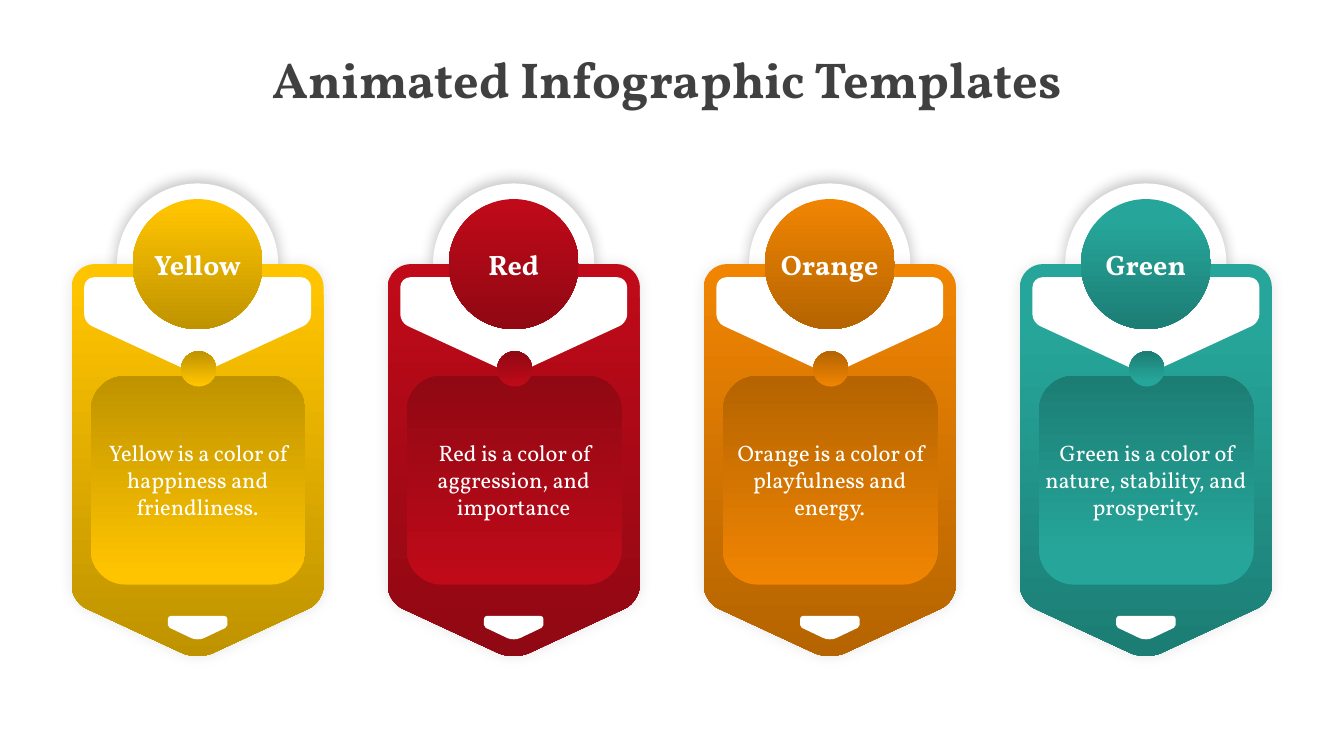
"""Build a slide with four hanging colour tags."""
import math
from dataclasses import dataclass

import pptx
import pptx.dml.color
import pptx.enum.shapes
import pptx.enum.text
import pptx.oxml
import pptx.oxml.ns
import pptx.util
from pptx.util import Inches


@dataclass(frozen=True)
class Theme:
    """Hold the colours, font and type sizes."""
    font: str = "Vollkorn"
    title_size: int = 36
    label_size: int = 20
    body_size: int = 16
    title: str = "404040"
    white: str = "FFFFFF"
    shadow: str = "000000"


@dataclass(frozen=True)
class Tag:
    """Hold the wording and gradient of one tag."""
    name: str
    message: str
    light: str
    dark: str
    start: float


THEME = Theme()
TAGS = (
    Tag("Yellow", "Yellow is a color of happiness and friendliness.", "FFC400", "BF9300", 0.05),
    Tag("Red", "Red is a color of aggression, and importance", "C00A19", "900813", 0),
    Tag("Orange", "Orange is a color of playfulness and energy.", "F18502", "B56401", 0),
    Tag("Green", "Green is a color of nature, stability, and prosperity.", "26A69A", "1C7D74", 0.15),
)
TAG_LEFT, TAG_TOP, TAG_WIDTH, TAG_PITCH = 0.71, 2.62, 2.5, 3.135


def rgb(colour):
    """Turn a hex string into a colour."""
    return pptx.dml.color.RGBColor.from_string(colour)


def finish(shape, fill, upward=False):
    """Fill a shape plainly, or with a vertical gradient from a Tag."""
    shape.shadow.inherit = False
    shape.line.fill.background()
    if isinstance(fill, Tag):
        shape.fill.gradient()
        shape.fill.gradient_angle = 90 if upward else 270
        first, last = shape.fill.gradient_stops
        first.color.rgb, first.position = rgb(fill.light), fill.start
        last.color.rgb, last.position = rgb(fill.dark), 1
    else:
        shape.fill.solid()
        shape.fill.fore_color.rgb = rgb(fill)


def add_glow(shape, opacity, distance=0, degrees=0):
    """Give a shape a soft shadow."""
    effects = shape._element.spPr.find(pptx.oxml.ns.qn("a:effectLst"))
    effects.append(pptx.oxml.parse_xml(
        f'<a:outerShdw {pptx.oxml.ns.nsdecls("a")} blurRad="{pptx.util.Pt(10)}" '
        f'dist="{pptx.util.Pt(distance)}" dir="{degrees * 60000}" algn="ctr" rotWithShape="0">'
        f'<a:srgbClr val="{THEME.shadow}"><a:alpha val="{opacity * 1000}"/></a:srgbClr>'
        '</a:outerShdw>'))


def add_preset(shapes, kind, box, fill, upward=False):
    """Add a filled preset shape."""
    shape = shapes.add_shape(kind, *map(Inches, box))
    finish(shape, fill, upward)
    return shape


def add_circle(shapes, centre_x, centre_y, size, fill, upward=False):
    """Add a circle around a centre."""
    box = (centre_x - size / 2, centre_y - size / 2, size, size)
    return add_preset(shapes, pptx.enum.shapes.MSO_SHAPE.OVAL, box, fill, upward)


def toward(start, end, share):
    """Return the point at a share of the way between two points."""
    return tuple(a + (b - a) * share for a, b in zip(start, end))


def corner_curve(before, corner, after, cut):
    """Return the four control points of a rounded corner."""
    start = toward(corner, before, cut / math.dist(corner, before))
    end = toward(corner, after, cut / math.dist(corner, after))
    return [start, toward(start, corner, 0.55), toward(end, corner, 0.55), end]


def bend_corners(shape):
    """Join the last three points of every corner into one curve."""
    lines = list(shape._element.iter(pptx.oxml.ns.qn("a:lnTo")))
    for first in range(0, len(lines), 4):
        curve = pptx.oxml.parse_xml(f'<a:cubicBezTo {pptx.oxml.ns.nsdecls("a")}/>')
        lines[first].addprevious(curve)
        for line in lines[first:first + 3]:
            curve.append(line[0])
            line.getparent().remove(line)


def add_pennant(shapes, centre_x, top, width, shoulder, apex, cuts, fill):
    """Add a rounded rectangle whose lower edge comes to a point."""
    left, right = centre_x - width / 2, centre_x + width / 2
    corners = [(left, top), (right, top), (right, top + shoulder),
               (centre_x, top + apex), (left, top + shoulder)]
    upper, side, tip = cuts
    points = []
    for index, cut in enumerate((upper, upper, side, tip, side)):
        points += corner_curve(corners[index - 1], corners[index], corners[(index + 1) % 5], cut)
    outline = [(Inches(x), Inches(y)) for x, y in points]
    builder = shapes.build_freeform(*outline[0])
    builder.add_line_segments(outline[1:], close=True)
    shape = builder.convert_to_shape()
    bend_corners(shape)
    finish(shape, fill)
    return shape


def write(shape, text, size, colour, bold):
    """Set centred text in a shape."""
    shape.text_frame.text = text
    para = shape.text_frame.paragraphs[0]
    para.alignment = pptx.enum.text.PP_ALIGN.CENTER
    for span in para.runs:
        span.font.name = THEME.font
        span.font.size = pptx.util.Pt(size)
        span.font.bold = bold
        span.font.color.rgb = rgb(colour)


def add_title(page, text):
    """Place and format the title."""
    title = page.shapes.title
    title.left, title.top, title.width, title.height = map(Inches, (0, 0.42, 13.33, 0.71))
    write(title, text, THEME.title_size, THEME.title, True)


def add_tag(page, tag, left):
    """Add one hanging tag with its label and message."""
    centre = left + TAG_WIDTH / 2
    shapes = page.shapes.add_group_shape().shapes
    halo = add_circle(shapes, centre, TAG_TOP, 1.6, THEME.white)
    add_glow(halo, 24, 3, 270)
    body = add_pennant(shapes, centre, TAG_TOP, TAG_WIDTH, 3.35, 3.93, (0.23, 0.16, 0.17), tag)
    add_glow(body, 10)
    add_pennant(shapes, centre, 6.11, 0.59, 0.11, 0.25, (0.03, 0.02, 0.07), THEME.white)
    add_pennant(shapes, centre, 2.75, 2.25, 0.45, 0.97, (0.1, 0.08, 0.11), THEME.white)
    add_preset(shapes, pptx.enum.shapes.MSO_SHAPE.ROUNDED_RECTANGLE,
               (left + 0.19, 3.73, 2.13, 2.07), tag, True)
    add_circle(shapes, centre + 0.01, 3.66, 0.35, tag, True)
    message = shapes.add_textbox(*map(Inches, (left + 0.15, 4.31, 2.2, 0.91)))
    message.text_frame.word_wrap = True
    write(message, " " + tag.message, THEME.body_size, THEME.white, False)
    label = add_circle(page.shapes, centre, TAG_TOP, 1.29, tag)
    label.text_frame.word_wrap = False
    label.text_frame.vertical_anchor = pptx.enum.text.MSO_ANCHOR.MIDDLE
    write(label, tag.name, THEME.label_size, THEME.white, True)


def main():
    """Build and save the deck."""
    deck = pptx.Presentation()
    deck.slide_width, deck.slide_height = Inches(13.33), Inches(7.5)
    page = deck.slides.add_slide(deck.slide_layouts[5])
    add_title(page, "Animated Infographic Templates ")
    for index, tag in enumerate(TAGS):
        add_tag(page, tag, TAG_LEFT + index * TAG_PITCH)
    deck.save("out.pptx")


if __name__ == "__main__":
    main()
